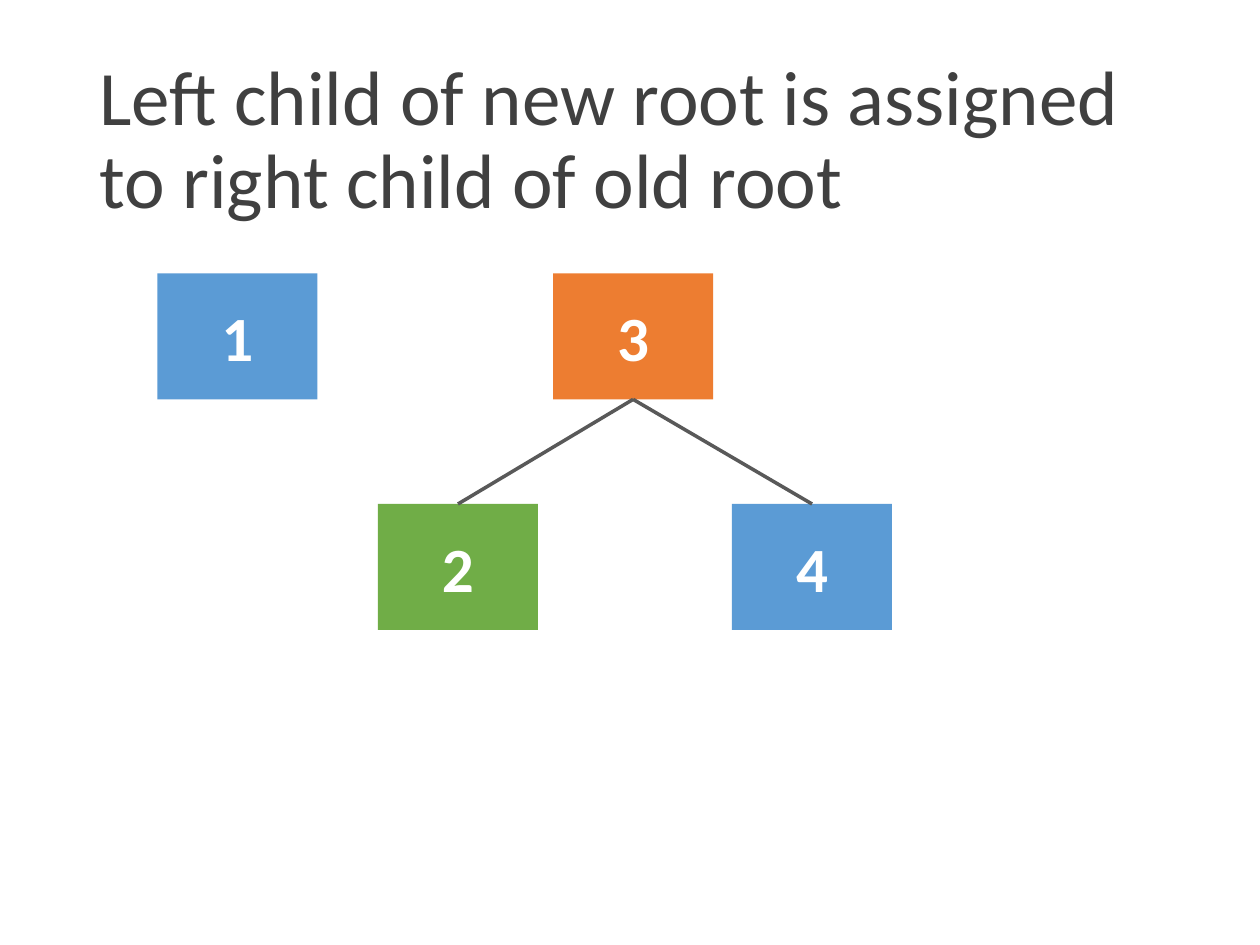
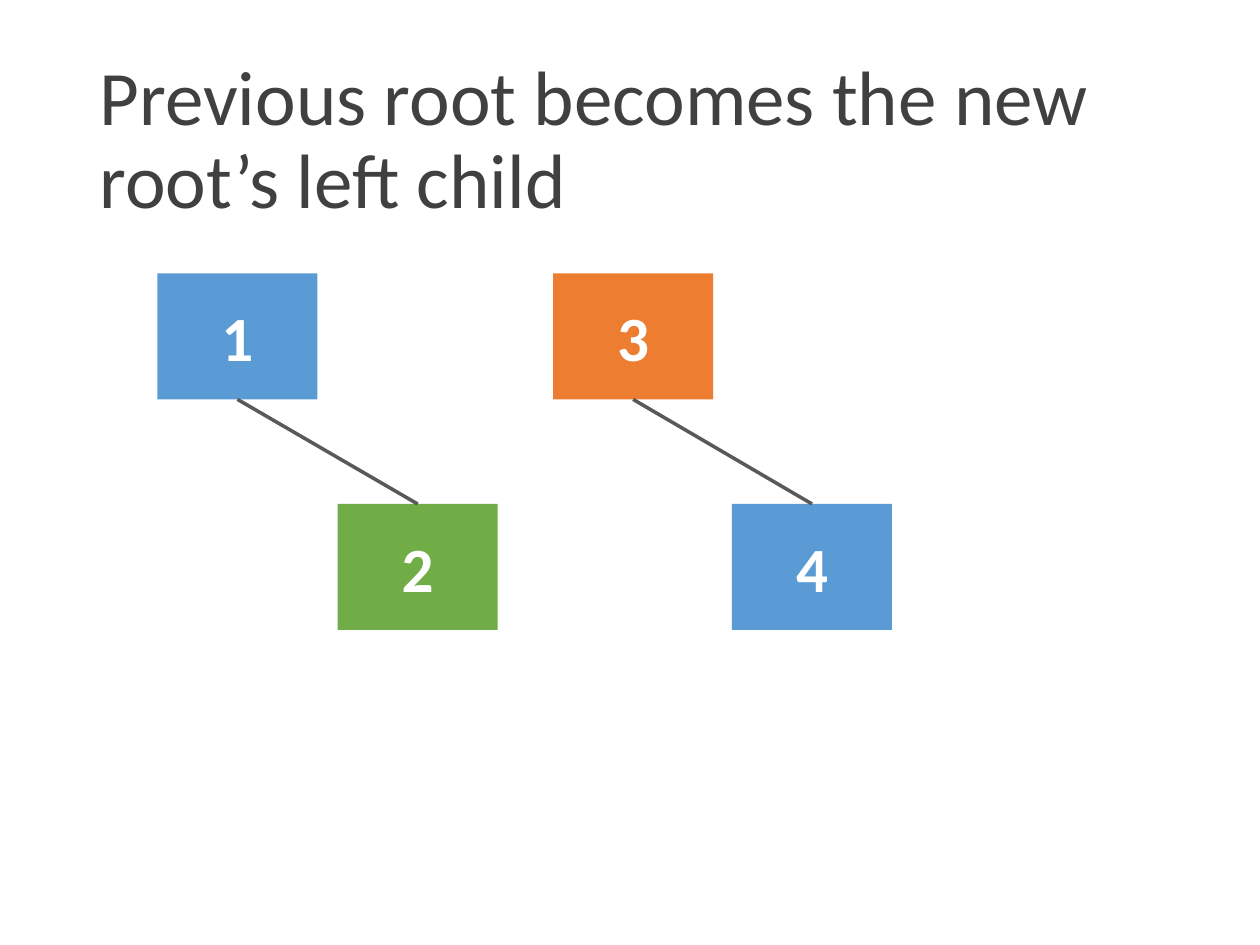
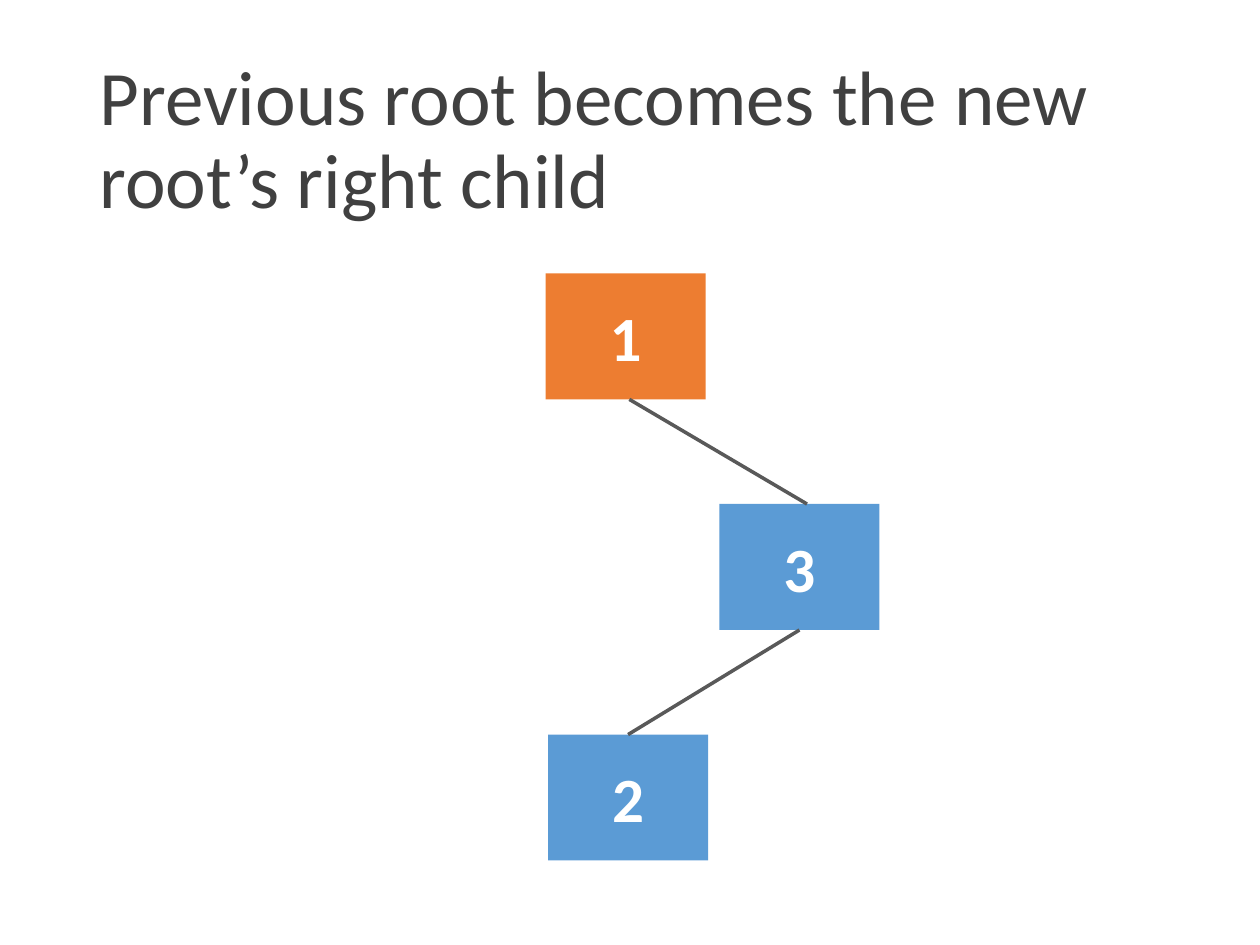
"""Build three slides that show tree rotations step by step."""
import pptx
import pptx.util
import pptx.dml.color
import pptx.enum.shapes
import pptx.enum.text
import pptx.oxml.ns
import lxml.etree

Inches = pptx.util.Inches
Pt = pptx.util.Pt
RGBColor = pptx.dml.color.RGBColor
MIDDLE = pptx.enum.text.MSO_ANCHOR.MIDDLE
ALIGN = pptx.enum.text.PP_ALIGN

INK = RGBColor(0x40, 0x40, 0x40)
GREY = RGBColor(0x59, 0x59, 0x59)
WHITE = RGBColor(0xFF, 0xFF, 0xFF)
ORANGE = RGBColor(0xED, 0x7D, 0x31)
BLUE = RGBColor(0x5B, 0x9B, 0xD5)
GREEN = RGBColor(0x70, 0xAD, 0x47)

FONT = "Calibri"
WIDTH, HEIGHT = 1.27, 1
TOP, STEP = 2.17, 1.83

# Nodes: label, left, level, colour. Edges: parent, child, shift of each end.
TREES = [
    ("Left child of new root is assigned to right child of old root",
     [("3", 4.39, 0, ORANGE), ("4", 5.81, 1, BLUE),
      ("2", 3, 1, GREEN), ("1", 1.25, 0, BLUE)],
     [("3", "4", None), ("3", "2", None)]),
    ("Previous root becomes the new root’s left child",
     [("3", 4.39, 0, ORANGE), ("4", 5.81, 1, BLUE),
      ("2", 2.68, 1, GREEN), ("1", 1.25, 0, BLUE)],
     [("3", "4", None), ("1", "2", None)]),
    ("Previous root becomes the new root’s right child",
     [("1", 4.33, 0, ORANGE), ("2", 4.35, 2, BLUE), ("3", 5.71, 1, BLUE)],
     [("3", "2", None), ("1", "3", (0.03, 0.06))]),
]


def style(para, size, color, bold, align):
    para.alignment = align
    font = para.runs[0].font
    font.name = FONT
    font.size = Pt(size)
    font.bold = bold
    font.color.rgb = color


deck = pptx.Presentation()
deck.slide_width = Inches(10)
deck.slide_height = Inches(7.5)

for words, nodes, edges in TREES:
    slide = deck.slides.add_slide(deck.slide_layouts[5])
    title = slide.shapes.title
    title.left, title.top = Inches(0.69), Inches(0.4)
    title.width, title.height = Inches(8.62), Inches(1.45)
    frame = title.text_frame
    frame.text = words
    frame.word_wrap = True
    frame.auto_size = pptx.enum.text.MSO_AUTO_SIZE.NONE
    frame.vertical_anchor = MIDDLE
    frame.paragraphs[0].line_spacing = 0.9
    style(frame.paragraphs[0], 44, INK, False, ALIGN.LEFT)

    boxes = {}
    for label, left, level, color in nodes:
        box = slide.shapes.add_shape(
            pptx.enum.shapes.MSO_SHAPE.RECTANGLE, Inches(left),
            Inches(TOP + level * STEP), Inches(WIDTH), Inches(HEIGHT))
        box.shadow.inherit = False
        box.fill.solid()
        box.fill.fore_color.rgb = color
        box.line.fill.background()
        box.text_frame.text = label
        box.text_frame.vertical_anchor = MIDDLE
        style(box.text_frame.paragraphs[0], 36, WHITE, True, ALIGN.CENTER)
        boxes[label] = box

    for parent, child, shift in edges:
        start, end = boxes[parent], boxes[child]
        near, far = shift or (0, 0)
        line = slide.shapes.add_connector(
            pptx.enum.shapes.MSO_CONNECTOR.STRAIGHT,
            start.left + start.width // 2 + Inches(near),
            start.top + start.height,
            end.left + end.width // 2 + Inches(far), end.top)
        if not shift:
            line.begin_connect(start, 2)
            line.end_connect(end, 0)
        line.line.color.rgb = GREY
        line.line.width = Pt(2)
        lxml.etree.SubElement(
            line._element.spPr, pptx.oxml.ns.qn("a:effectLst"))

deck.save("out.pptx")
